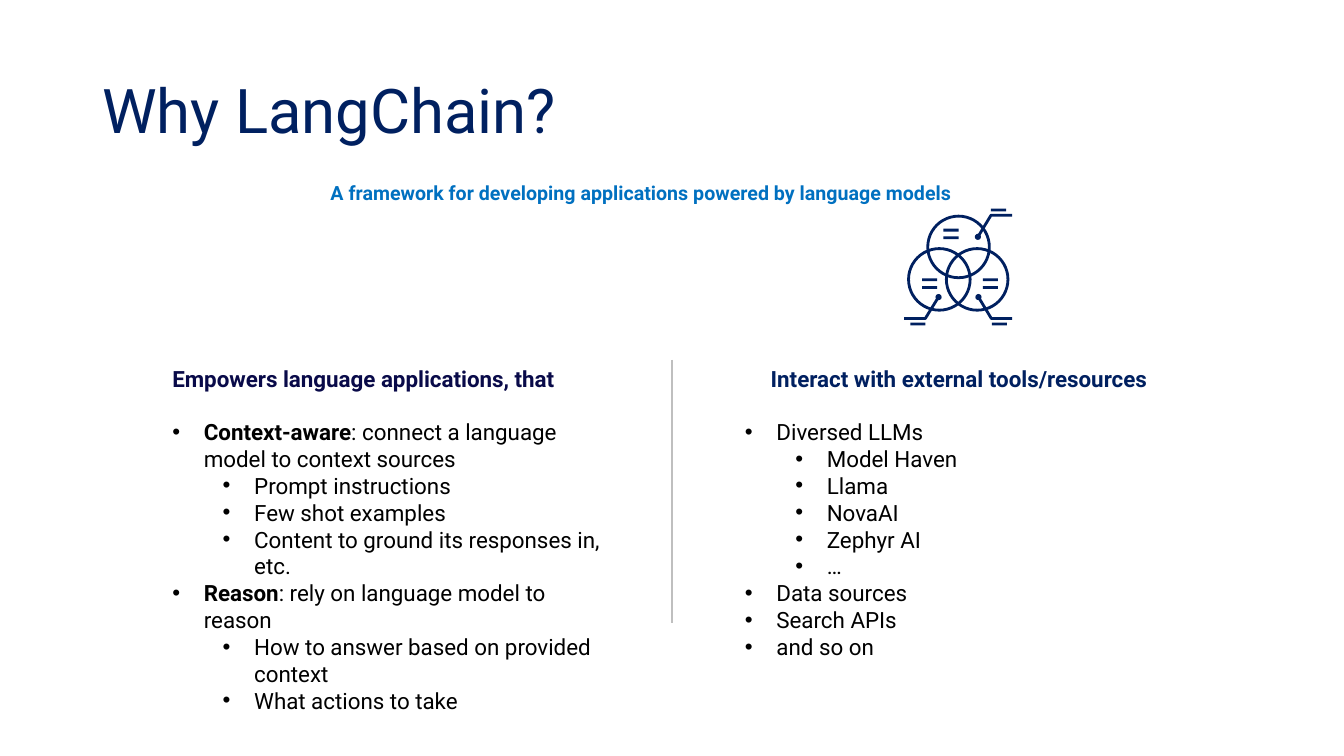
from dataclasses import dataclass

from pptx import Presentation
from pptx import util as u
from pptx.dml import color
from pptx.enum import shapes, text
from pptx.oxml import ns
from lxml import etree


@dataclass(frozen=True)
class Theme:
    font: str = "Roboto"
    navy: str = "002060"
    indigo: str = "090A49"
    blue: str = "0070C0"
    black: str = "000000"
    gray: str = "BFBFBF"
    title_size: float = 44
    tagline_size: float = 14
    body_size: float = 16
    stroke: float = 2


@dataclass(frozen=True)
class Box:
    left: float
    top: float
    width: float
    height: float


@dataclass(frozen=True)
class Bullet:
    words: str
    level: int = 0
    lead: str = ""


@dataclass(frozen=True)
class Column:
    box: Box
    heading: str
    tint: str
    align: text.PP_ALIGN
    bullets: tuple[Bullet, ...]


@dataclass(frozen=True)
class Callout:
    dot: tuple[float, float]
    bend: tuple[float, float]
    tip: float
    bar: tuple[float, float]


THEME = Theme()
BAR_WIDTH = 10.8
RING_SIZE = 44
DOT_SIZE = 4.4
HANGING = 22.5
LEVEL_STEP = 36
LIST_GAP = 19

COLUMNS = (
    Column(
        Box(116, 257, 320, 255), "Empowers language applications, that",
        THEME.indigo, text.PP_ALIGN.LEFT,
        (
            Bullet(": connect a language model to context sources", lead="Context-aware"),
            Bullet("Prompt instructions", 1),
            Bullet("Few shot examples", 1),
            Bullet("Content to ground its responses in, etc.", 1),
            Bullet(": rely on language model to reason", lead="Reason"),
            Bullet("How to answer based on provided context", 1),
            Bullet("What actions to take", 1),
        ),
    ),
    Column(
        Box(525, 257, 320, 188), "Interact with external tools/resources",
        THEME.navy, text.PP_ALIGN.CENTER,
        (
            Bullet("Diversed LLMs"),
            Bullet("Model Haven", 1),
            Bullet("Llama", 1),
            Bullet("NovaAI", 1),
            Bullet("Zephyr AI", 1),
            Bullet("…", 1),
            Bullet("Data sources"),
            Bullet("Search APIs"),
            Bullet("and so on"),
        ),
    ),
)

RING_CENTERS = ((684.7, 176.4), (671, 199.6), (698, 199.6))
EQUALS_SIGNS = ((673.9, 163.4), (702, 198.9), (658.6, 198.9))
EQUALS_GAP = 5.4
CALLOUTS = (
    Callout((698.5, 169.2), (707.9, 153.7), 722.9, (707.8, 149)),
    Callout((698.9, 212.2), (708.1, 227.5), 722.9, (708.5, 230.4)),
    Callout((670.4, 212.2), (661, 227.5), 645.8, (650.2, 230.4)),
)


def rgb(value: str) -> color.RGBColor:
    return color.RGBColor.from_string(value)


def add_run(paragraph, words: str, size: float, tint: str, bold: bool = False) -> None:
    run = paragraph.add_run()
    run.text = words
    run.font.name = THEME.font
    run.font.size = u.Pt(size)
    run.font.bold = bold
    run.font.color.rgb = rgb(tint)


def add_text_frame(slide, box: Box):
    frame = slide.shapes.add_textbox(
        u.Pt(box.left), u.Pt(box.top), u.Pt(box.width), u.Pt(box.height)
    ).text_frame
    frame.word_wrap = True
    return frame


def set_bullet(paragraph, level: int) -> None:
    paragraph.level = level
    properties = paragraph._p.get_or_add_pPr()
    properties.set("marL", str(u.Pt(HANGING + level * LEVEL_STEP)))
    properties.set("indent", str(-u.Pt(HANGING)))
    etree.SubElement(properties, ns.qn("a:buFont")).set("typeface", "Arial")
    etree.SubElement(properties, ns.qn("a:buChar")).set("char", "•")


def add_column(slide, column: Column) -> None:
    frame = add_text_frame(slide, column.box)
    heading = frame.paragraphs[0]
    heading.alignment = column.align
    heading.space_after = u.Pt(LIST_GAP)
    add_run(heading, column.heading, THEME.body_size, column.tint, True)
    for bullet in column.bullets:
        item = frame.add_paragraph()
        set_bullet(item, bullet.level)
        if bullet.lead:
            add_run(item, bullet.lead, THEME.body_size, THEME.black, True)
        add_run(item, bullet.words, THEME.body_size, THEME.black)


def add_solid(icon, kind: shapes.MSO_SHAPE, box: Box) -> None:
    solid = icon.shapes.add_shape(
        kind, u.Pt(box.left), u.Pt(box.top), u.Pt(box.width), u.Pt(box.height)
    )
    solid.shadow.inherit = False
    solid.fill.solid()
    solid.fill.fore_color.rgb = rgb(THEME.navy)
    solid.line.fill.background()


def set_outline(outline) -> None:
    outline.shadow.inherit = False
    outline.fill.background()
    outline.line.color.rgb = rgb(THEME.navy)
    outline.line.width = u.Pt(THEME.stroke)


def add_bar(icon, left: float, top: float) -> None:
    add_solid(icon, shapes.MSO_SHAPE.RECTANGLE, Box(left, top, BAR_WIDTH, THEME.stroke))


def add_ring(icon, x: float, y: float) -> None:
    radius = RING_SIZE / 2
    set_outline(icon.shapes.add_shape(
        shapes.MSO_SHAPE.OVAL, u.Pt(x - radius), u.Pt(y - radius),
        u.Pt(RING_SIZE), u.Pt(RING_SIZE),
    ))


def add_callout(icon, callout: Callout) -> None:
    x, y = callout.dot
    add_solid(icon, shapes.MSO_SHAPE.OVAL,
              Box(x - DOT_SIZE / 2, y - DOT_SIZE / 2, DOT_SIZE, DOT_SIZE))
    leader = icon.shapes.build_freeform(u.Pt(x), u.Pt(y))
    turns = (callout.bend, (callout.tip, callout.bend[1]))
    leader.add_line_segments([(u.Pt(a), u.Pt(b)) for a, b in turns], close=False)
    set_outline(leader.convert_to_shape())
    add_bar(icon, *callout.bar)


def add_venn_icon(slide) -> None:
    icon = slide.shapes.add_group_shape()
    for callout in CALLOUTS:
        add_callout(icon, callout)
    for center in RING_CENTERS:
        add_ring(icon, *center)
    for left, top in EQUALS_SIGNS:
        add_bar(icon, left, top)
        add_bar(icon, left, top + EQUALS_GAP)


def add_divider(slide) -> None:
    divider = slide.shapes.add_connector(
        shapes.MSO_CONNECTOR.STRAIGHT, u.Pt(480), u.Pt(257), u.Pt(480), u.Pt(445)
    )
    divider.line.color.rgb = rgb(THEME.gray)
    divider.line.width = u.Pt(1)
    etree.SubElement(divider._element.spPr, ns.qn("a:effectLst"))


def main() -> None:
    deck = Presentation()
    deck.slide_width, deck.slide_height = u.Pt(960), u.Pt(540)
    slide = deck.slides.add_slide(deck.slide_layouts[6])
    title = add_text_frame(slide, Box(66, 28.8, 828, 104.4))
    title.vertical_anchor = text.MSO_ANCHOR.MIDDLE
    title.paragraphs[0].line_spacing = 0.9
    add_run(title.paragraphs[0], "Why LangChain?", THEME.title_size, THEME.navy)
    for column in COLUMNS:
        add_column(slide, column)
    add_divider(slide)
    add_venn_icon(slide)
    tagline = add_text_frame(slide, Box(229, 126, 501, 24.5))
    add_run(tagline.paragraphs[0],
            "A framework for developing applications powered by language models",
            THEME.tagline_size, THEME.blue, True)
    deck.save("out.pptx")


if __name__ == "__main__":
    main()
